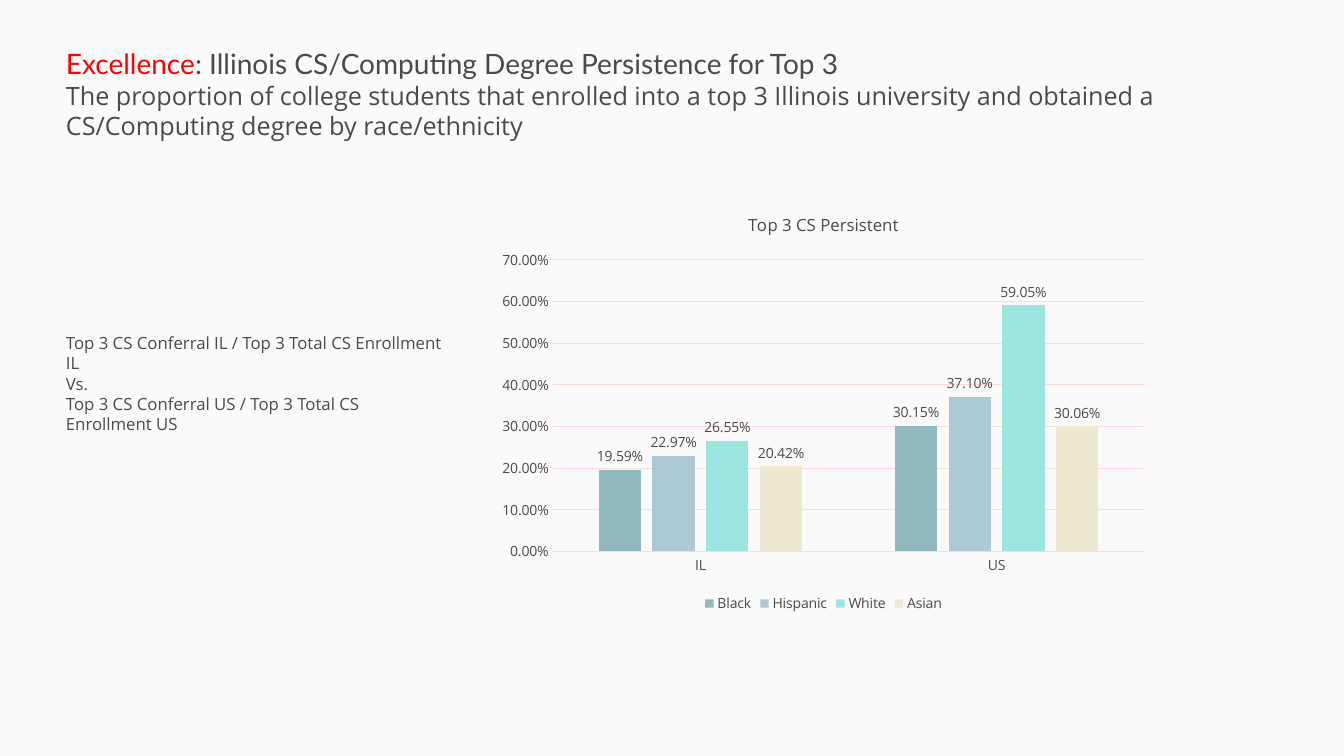
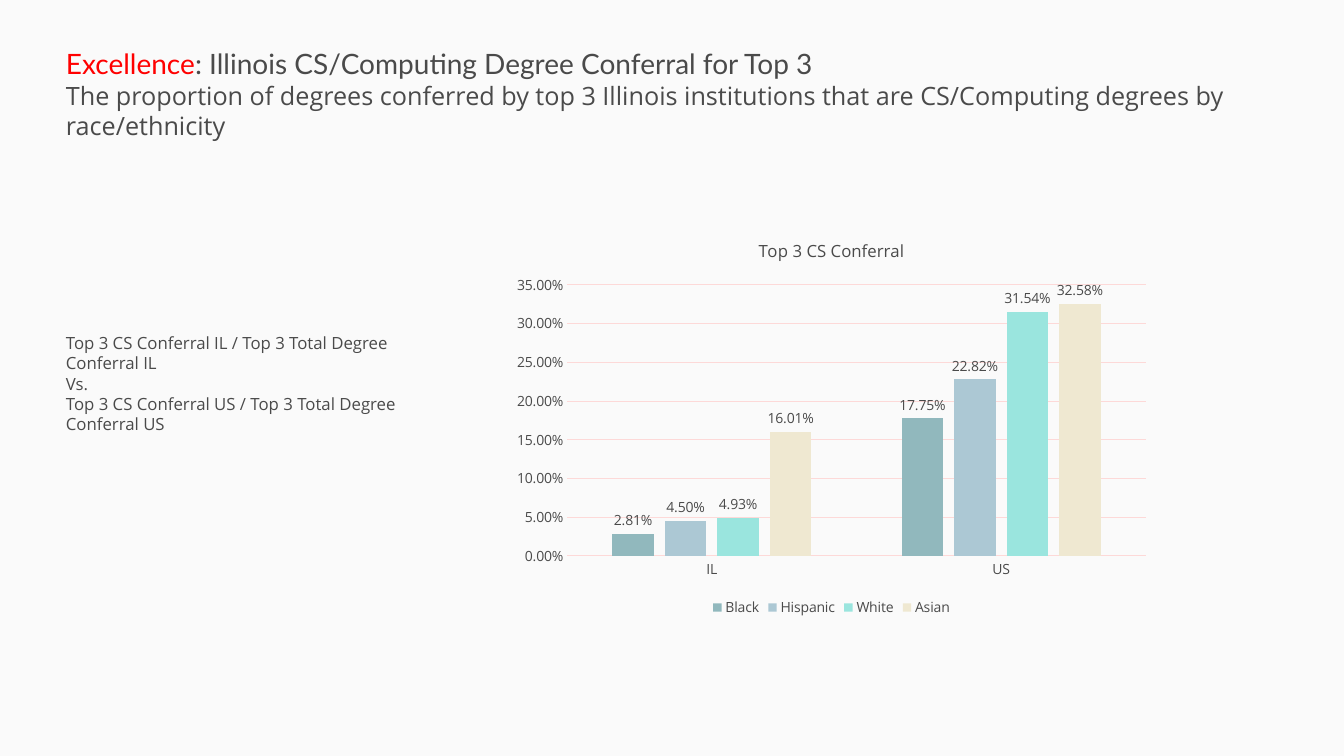
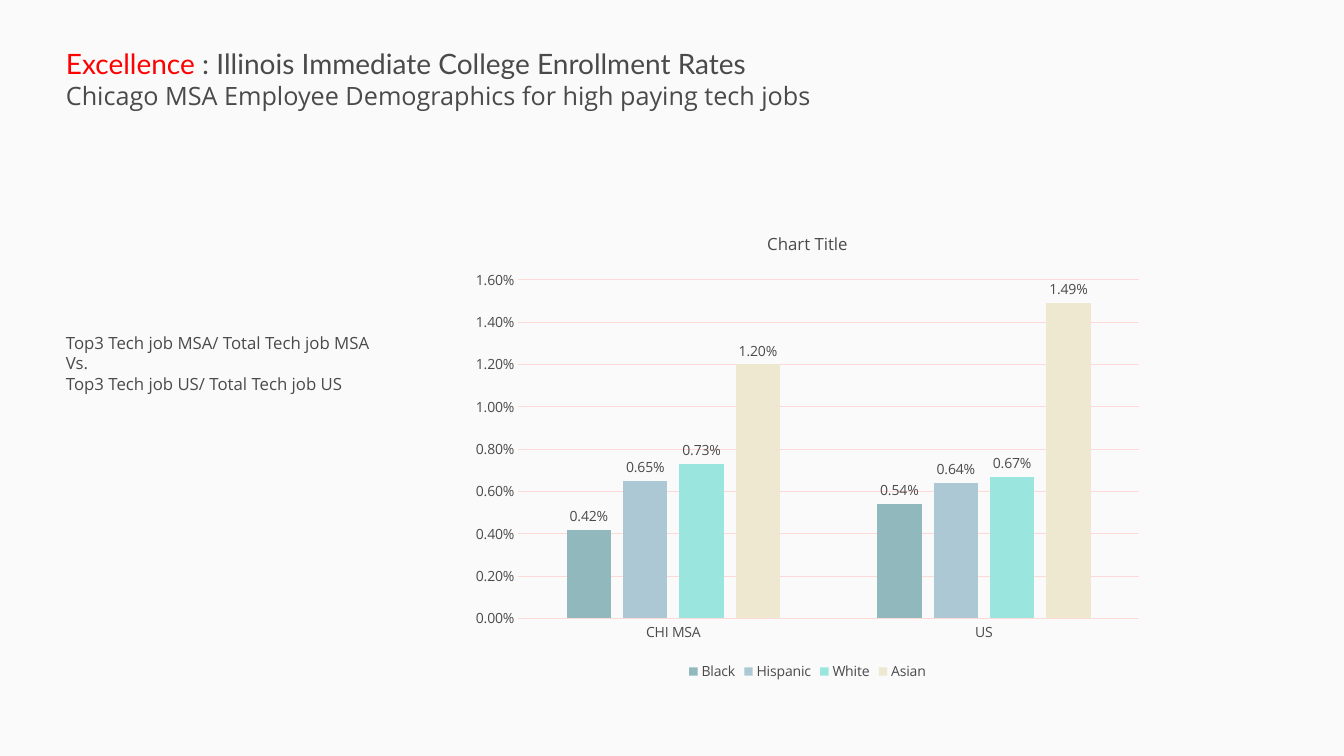
from dataclasses import dataclass

from pptx import Presentation
from pptx.chart.data import CategoryChartData as ChartData
from pptx.dml.color import RGBColor as Color
from pptx.enum.chart import XL_CHART_TYPE as ChartType
from pptx.enum.chart import XL_LABEL_POSITION as LabelPosition
from pptx.enum.chart import XL_LEGEND_POSITION as LegendPosition
from pptx.enum.chart import XL_TICK_MARK as TickMark
from pptx.enum.shapes import MSO_SHAPE as Shape
from pptx.enum.text import MSO_ANCHOR as Anchor
from pptx.util import Pt

PIXEL = 914400 / 100.8
PAGE_SIZE = (1344, 756)


@dataclass(frozen=True)
class Theme:
    page: str = "FAFAFA"
    ink: str = "4A4A4A"
    accent: str = "FF0000"
    grid: str = "FDD9D8"
    series: tuple = ("91B8BD", "ACC8D4", "9AE5DE", "EFE8D1")
    heading_font: str = "Lato"
    body_font: str = "Open Sans"
    heading_size: int = 20
    subtitle_size: int = 18
    body_size: int = 12
    chart_size: int = 10
    grid_width: float = 0.75
    border_width: int = 1
    percent: str = "0.00%"


THEME = Theme()
GROUPS = ("Black", "Hispanic", "White", "Asian")


def scaled(box):
    return [round(length * PIXEL) for length in box]


def paint(fill, color):
    fill.solid()
    fill.fore_color.rgb = Color.from_string(color)


def style_line(line, color=THEME.grid, width=THEME.grid_width):
    line.color.rgb = Color.from_string(color)
    line.width = Pt(width)


def style_font(font, size, color=THEME.ink, name=THEME.body_font):
    font.name = name
    font.size = Pt(size)
    font.bold = False
    font.color.rgb = Color.from_string(color)


def add_span(para, text, **style):
    span = para.add_run()
    span.text = text
    style_font(span.font, **style)


def add_text(page, box, paragraphs, size=THEME.body_size):
    frame = page.shapes.add_textbox(*scaled(box)).text_frame
    frame.word_wrap = True
    frame.vertical_anchor = Anchor.TOP
    for index, spans in enumerate(paragraphs):
        para = frame.add_paragraph() if index else frame.paragraphs[0]
        for text, style in spans:
            add_span(para, text, **{"size": size, **style})


def add_backdrop(page, box):
    backdrop = page.shapes.add_shape(Shape.RECTANGLE, *scaled(box))
    backdrop.shadow.inherit = False
    paint(backdrop.fill, THEME.page)
    style_line(backdrop.line, THEME.page, THEME.border_width)


def add_heading(page, box, lead, title, subtitle):
    heading = {"size": THEME.heading_size, "name": THEME.heading_font}
    add_text(page, box, [
        [(lead, {**heading, "color": THEME.accent}), (title, heading)],
        [(subtitle, {"size": THEME.subtitle_size})],
    ])


def add_formula(page, box, lines):
    add_text(page, box, [[(line, {})] for line in lines])


def style_axis(axis):
    axis.major_tick_mark = axis.minor_tick_mark = TickMark.NONE
    style_font(axis.tick_labels.font, THEME.chart_size)


def style_series(series, color):
    paint(series.format.fill, color)
    series.invert_if_negative = False
    labels = series.data_labels
    labels.show_value = True
    labels.position = LabelPosition.OUTSIDE_END
    labels.number_format = THEME.percent
    labels.number_format_is_linked = False
    style_font(labels.font, THEME.chart_size)


def add_columns(page, box, title, categories, values):
    data = ChartData(number_format=THEME.percent)
    data.categories = categories
    for group, shares in zip(GROUPS, values):
        data.add_series(group, shares)
    chart = page.shapes.add_chart(
        ChartType.COLUMN_CLUSTERED, *scaled(box), data).chart
    style_font(chart.font, THEME.chart_size)

    chart.has_title = True
    add_span(chart.chart_title.text_frame.paragraphs[0], title,
             size=THEME.body_size)
    chart.chart_title.include_in_layout = False

    chart.has_legend = True
    chart.legend.position = LegendPosition.BOTTOM
    chart.legend.include_in_layout = False
    style_font(chart.legend.font, THEME.chart_size)

    style_axis(chart.category_axis)
    style_line(chart.category_axis.format.line)
    value_axis = chart.value_axis
    style_axis(value_axis)
    value_axis.format.line.fill.background()
    value_axis.minimum_scale = 0
    value_axis.has_major_gridlines = True
    style_line(value_axis.major_gridlines.format.line)
    value_axis.tick_labels.number_format = THEME.percent
    value_axis.tick_labels.number_format_is_linked = False

    plot = chart.plots[0]
    plot.gap_width = 219
    plot.overlap = -27
    plot.vary_by_categories = False
    for series, color in zip(plot.series, THEME.series):
        style_series(series, color)


def add_comparison(deck, heading, formula, chart_box, chart):
    page = deck.slides.add_slide(deck.slide_layouts[6])
    add_backdrop(page, (0, 0, *PAGE_SIZE))
    add_heading(page, (56, 42, 1232, 105), *heading)
    add_formula(page, (56, 328, 403, 72), formula)
    add_columns(page, chart_box, *chart)


COMPARISONS = (
    (
        ("Excellence", ": Illinois CS/Computing Degree Persistence for Top 3",
         "The proportion of college students that enrolled into a top 3 "
         "Illinois university and obtained a CS/Computing degree by "
         "race/ethnicity"),
        ("Top 3 CS Conferral IL / Top 3 Total CS Enrollment IL",
         "Vs.",
         "Top 3 CS Conferral US / Top 3 Total CS Enrollment US"),
        (489, 195, 669, 422),
        ("Top 3 CS Persistent", ("IL", "US"),
         ((0.1959, 0.3015), (0.2297, 0.371),
          (0.2655, 0.5905), (0.2042, 0.3006))),
    ),
    (
        ("Excellence", ": Illinois CS/Computing Degree Conferral for Top 3",
         "The proportion of degrees conferred by top 3 Illinois institutions "
         "that are CS/Computing degrees by race/ethnicity"),
        ("Top 3 CS Conferral IL / Top 3 Total Degree Conferral IL",
         "Vs.",
         "Top 3 CS Conferral US / Top 3 Total Degree Conferral US"),
        (504, 221, 655, 400),
        ("Top 3 CS Conferral", ("IL", "US"),
         ((0.0281, 0.1775), (0.045, 0.2282),
          (0.0493, 0.3154), (0.1601, 0.3258))),
    ),
    (
        ("Excellence ", ": Illinois Immediate College Enrollment Rates",
         "Chicago MSA Employee Demographics for high paying tech jobs"),
        ("Top3 Tech job MSA/ Total Tech job MSA",
         "Vs.",
         "Top3 Tech job US/ Total Tech job US"),
        (462, 213, 691, 472),
        ("Chart Title", ("CHI MSA", "US"),
         ((0.0042, 0.0054), (0.0065, 0.0064),
          (0.0073, 0.0067), (0.012, 0.0149))),
    ),
)


def build():
    deck = Presentation()
    deck.slide_width, deck.slide_height = scaled(PAGE_SIZE)
    paint(deck.slide_master.background.fill, THEME.page)
    for comparison in COMPARISONS:
        add_comparison(deck, *comparison)
    deck.save("out.pptx")


build()
